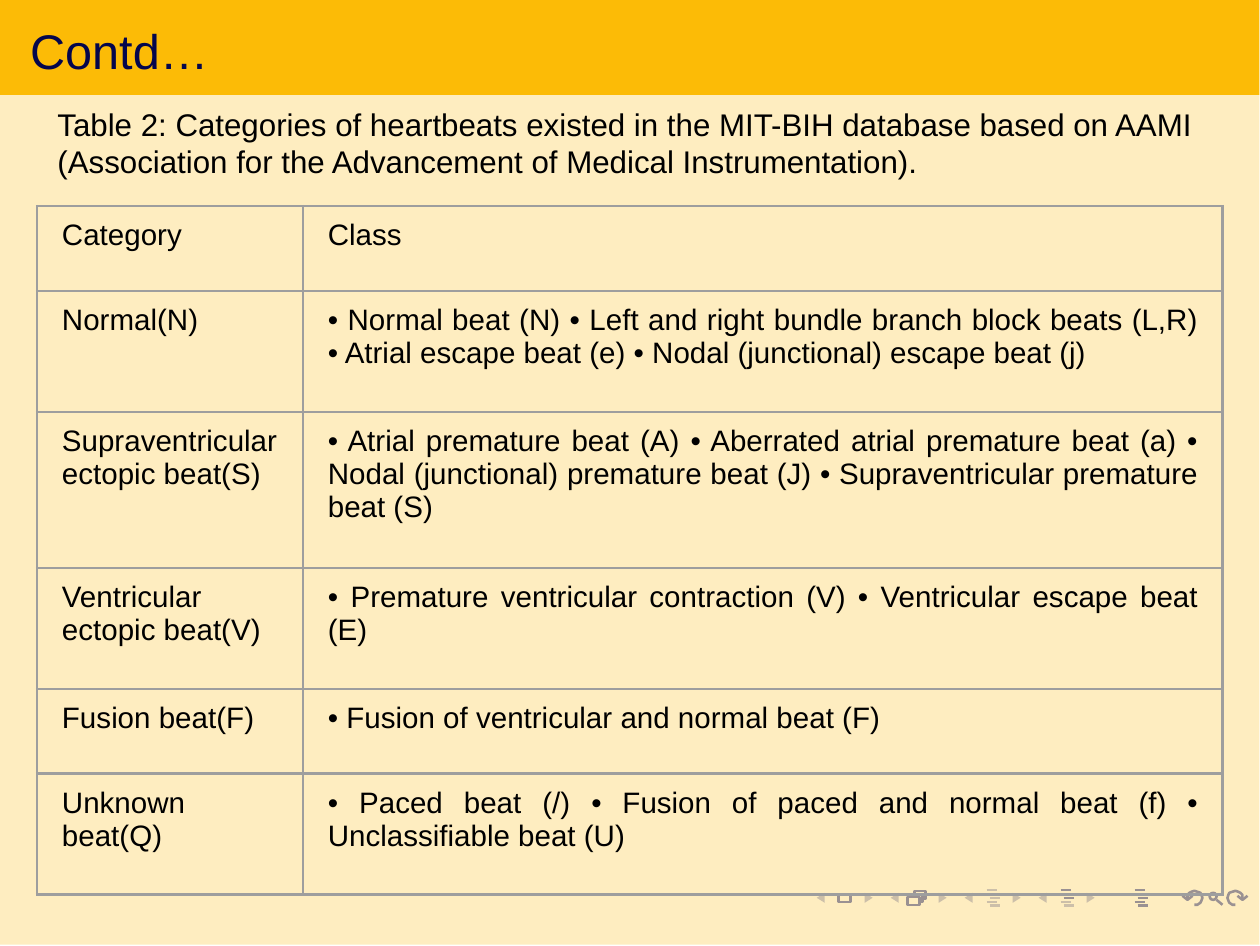
"""Build the slide with the table of heartbeat categories."""
import pptx
import pptx.util
import pptx.dml.color
import pptx.enum.shapes
import pptx.enum.text
import pptx.oxml
import pptx.oxml.ns

SCALE = 914400 / 250
DARK, PALE, GREY = "9A9192", "CCBFA9", "9E9E9E"
kinds = pptx.enum.shapes.MSO_SHAPE
aligns = pptx.enum.text.PP_ALIGN
space = pptx.oxml.ns.nsdecls("a")


def paint(shape, fill=None, line=None):
    """Set fill and line from hex strings and drop the shadow."""
    if hasattr(shape, "begin_x"):
        shape.element.spPr.append(pptx.oxml.parse_xml(f"<a:effectLst {space}/>"))
    else:
        shape.shadow.inherit = False
        if fill:
            shape.fill.solid()
            shape.fill.fore_color.rgb = pptx.dml.color.RGBColor.from_string(fill)
        else:
            shape.fill.background()
    if line:
        shape.line.color.rgb = pptx.dml.color.RGBColor.from_string(line)
        shape.line.width = pptx.util.Pt(0.75)
    else:
        shape.line.fill.background()


def write(frame, text, size, hue, align=aligns.LEFT):
    """Put one run of text in the first paragraph of a frame."""
    frame.word_wrap = True
    par = frame.paragraphs[0]
    par.alignment = align
    run = par.add_run()
    run.text = text
    run.font.name = "Arial"
    run.font.size = pptx.util.Pt(size)
    run.font.color.rgb = pptx.dml.color.RGBColor.from_string(hue)


deck = pptx.Presentation()
deck.slide_width = pptx.util.Pt(363)
deck.slide_height = pptx.util.Pt(272.5)
slide = deck.slides.add_slide(deck.slide_layouts[5])
shapes = slide.shapes

for top, high, hue in [(95, 850, "FEEDC0"), (0, 95, "FCBB06")]:
    box = [round(n * SCALE) for n in (0, top, 1260, high)]
    paint(shapes.add_shape(kinds.RECTANGLE, *box), hue)

marks = []
for step in range(4):
    for base, tip in [(825, 817), (865, 873)]:
        x = 74 * step
        marks.append(([(base + x, 893), (tip + x, 898), (base + x, 903)],
                      True, PALE, None))
marks += [
    ([(839, 902), (851, 902), (851, 894), (839, 894)], True, None, DARK),
    ([(908, 905), (920, 905), (920, 897), (908, 897)], True, None, DARK),
    ([(912, 897), (912, 894), (923, 894), (923, 902), (920, 902)], False, None, DARK),
    ([(915, 894), (915, 891), (926, 891), (926, 899), (923, 899)], False, None, DARK),
]
arc = [(8, 905), (11, 905), (14, 903), (15, 901), (16, 898), (15, 895),
       (14, 893), (11, 892), (8, 891), (5, 892), (3, 893), (1, 895), (1, 898)]
head = [(6, 896), (1, 900), (-4, 896)]
for side, mid in [(1, 1187), (-1, 1244)]:
    for curve in (arc, head):
        marks.append(([(mid + side * x, y) for x, y in curve], False, None, DARK))
for dots, shut, fill, line in marks:
    pen = shapes.build_freeform(*dots[0], scale=SCALE)
    pen.add_line_segments(dots[1:], close=shut)
    paint(pen.convert_to_shape(), fill, line)

bars = [(1217, 900, 1223, 905, DARK)]
for left, strong in [(987, [1]), (1061, [0, 1, 2]), (1135, range(5))]:
    for row, shift in enumerate([0, 3, 3, 0, 3]):
        x, y = left + shift, 890 + 4 * row
        bars.append((x, y, x + 10, y, DARK if row in strong else PALE))
for *ends, hue in bars:
    bar = shapes.add_connector(pptx.enum.shapes.MSO_CONNECTOR.STRAIGHT,
                               *[round(n * SCALE) for n in ends])
    paint(bar, line=hue)
lens = shapes.add_shape(kinds.OVAL, *[round(n * SCALE) for n in (1210, 893, 7, 7)])
paint(lens, line=DARK)

title = shapes.title
title.element.getparent().append(title.element)
title.left, title.top, title.width, title.height = [
    round(n * SCALE) for n in (30, 17, 610, 162)]
frame = title.text_frame
frame.auto_size = pptx.enum.text.MSO_AUTO_SIZE.NONE
frame.vertical_anchor = pptx.enum.text.MSO_ANCHOR.TOP
frame.margin_left = frame.margin_right = frame.margin_bottom = 0
frame.margin_top = round(4 * SCALE)
write(frame, "Contd…", 14, "04064C")

rows = [
    (85, "Category", "Class"),
    (121, "Normal(N)", "• Normal beat (N) • Left and right bundle branch block beats (L,R) "
     "• Atrial escape beat (e) • Nodal (junctional) escape beat (j)"),
    (156, "Supraventricular ectopic beat(S)",
     "• Atrial premature beat (A) • Aberrated atrial premature beat (a) "
     "• Nodal (junctional) premature beat (J) • Supraventricular premature beat (S)"),
    (121, "Ventricular ectopic beat(V)",
     "• Premature ventricular contraction (V) • Ventricular escape beat (E)"),
    (85, "Fusion beat(F)", "• Fusion of ventricular and normal beat (F)"),
    (121, "Unknown beat(Q)",
     "• Paced beat (/) • Fusion of paced and normal beat (f) • Unclassifiable beat (U)"),
]
box = [round(n * SCALE) for n in (37, 206, 1186, 689)]
grid = shapes.add_table(len(rows), 2, *box)
table = grid.table
table.first_row = table.horz_banding = False
for col, wide in zip(table.columns, (266, 920)):
    col.width = round(wide * SCALE)
for r, (high, *texts) in enumerate(rows):
    table.rows[r].height = round(high * SCALE)
    for c, text in enumerate(texts):
        cell = table.cell(r, c)
        cell.fill.background()
        cell.margin_left = round(25 * SCALE)
        cell.margin_right = round(24 * SCALE)
        cell.margin_top = cell.margin_bottom = round(13 * SCALE)
        write(cell.text_frame, text, 8.5, "000000",
              aligns.JUSTIFY if r and c else aligns.LEFT)
for props in grid.element.iter(pptx.oxml.ns.qn("a:tcPr")):
    for spot, side in enumerate("LRTB"):
        props.insert(spot, pptx.oxml.parse_xml(
            f'<a:ln{side} {space} w="9525"><a:solidFill>'
            f'<a:srgbClr val="{GREY}"/></a:solidFill></a:ln{side}>'))

note = shapes.add_textbox(*[round(n * SCALE) for n in (33, 80, 1235, 125)])
frame = note.text_frame
frame.margin_left = frame.margin_right = round(25 * SCALE)
frame.margin_top = frame.margin_bottom = round(25 * SCALE)
write(frame, "Table 2: Categories of heartbeats existed in the MIT-BIH database based on "
      "AAMI (Association for the Advancement of Medical Instrumentation).", 9, "000000")

deck.save("out.pptx")
